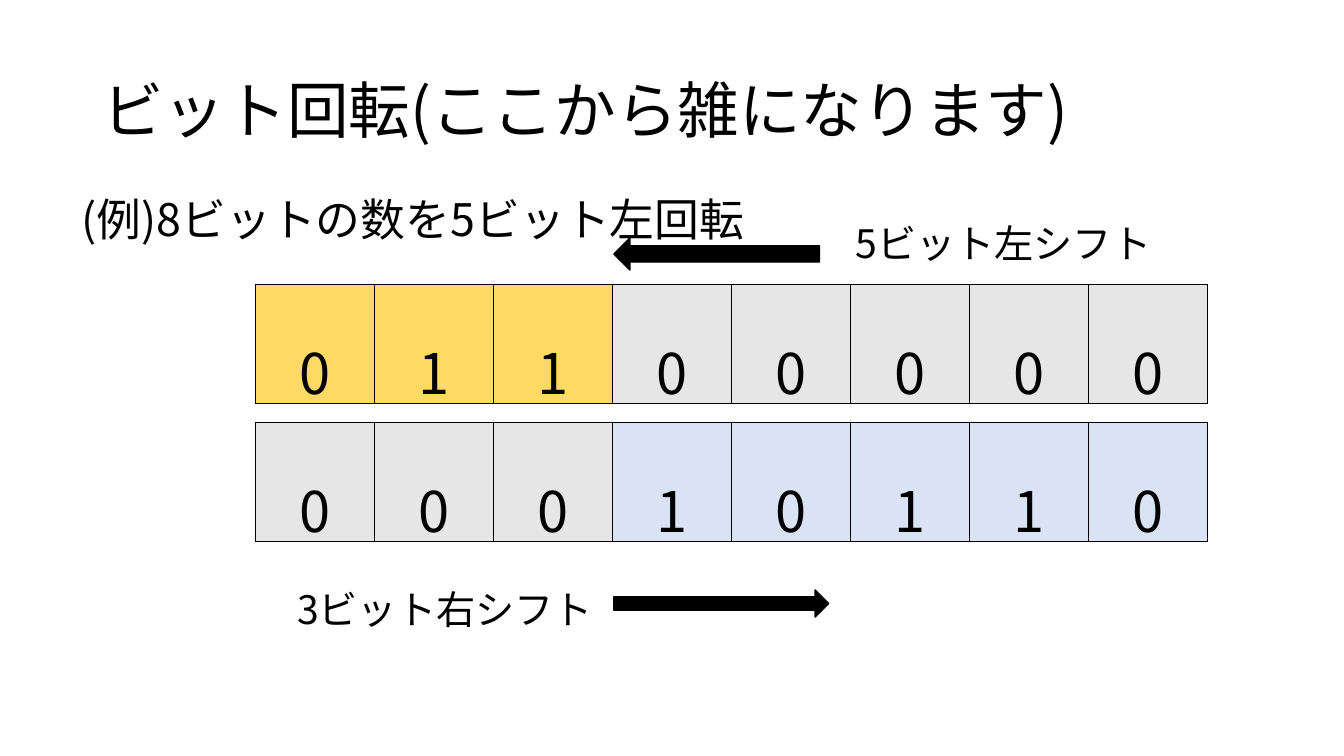
from lxml.etree import SubElement
from pptx import Presentation
from pptx.dml.color import RGBColor
from pptx.enum.shapes import MSO_SHAPE as Shape
from pptx.enum.text import MSO_ANCHOR as Anchor, PP_ALIGN as Align
from pptx.oxml.ns import qn
from pptx.util import Pt

FONT = "Noto Sans CJK JP"
BLACK, GRAY, YELLOW, BLUE = "000000", "E7E6E6", "FFD966", "DAE3F3"
TABLE_LEFT, CELL = 182.3, 85.05


def paint(fill, color):
    fill.solid()
    fill.fore_color.rgb = RGBColor.from_string(color)


def write(frame, text, size):
    frame.text = text
    para = frame.paragraphs[0]
    span = para.runs[0]
    span.font.size = Pt(size)
    span.font.name = FONT
    paint(span.font.fill, BLACK)
    SubElement(span.font._element, qn("a:ea"), typeface=FONT)
    return para


deck = Presentation()
deck.slide_width, deck.slide_height = Pt(960), Pt(540)
page = deck.slides.add_slide(deck.slide_layouts[6])

# Title, example and shift labels
labels = [
    ("ビット回転(ここから雑になります)", 44, 66, 28.75, 828, 104.4),
    ("(例)8ビットの数を5ビット左回転", 32, 51.1, 133.2, 660, 46),
    ("5ビット左シフト", 28, 604.1, 153.4, 233.3, 41.2),
    ("3ビット右シフト", 28, 205.2, 414.7, 233.3, 41.2),
]
for text, size, left, top, width, height in labels:
    box = page.shapes.add_textbox(Pt(left), Pt(top), Pt(width), Pt(height))
    box.text_frame.word_wrap = True
    para = write(box.text_frame, text, size)
    if size == 44:
        box.text_frame.vertical_anchor = Anchor.MIDDLE
        para.line_spacing = 0.9

# Bit rows: the first three bits and the last five differ in colour
bit_rows = [
    ("01100000", 203, YELLOW, GRAY),
    ("00010110", 301.7, GRAY, BLUE),
]
for bits, top, head_color, tail_color in bit_rows:
    frame = page.shapes.add_table(1, len(bits), Pt(TABLE_LEFT), Pt(top),
                                  Pt(CELL * len(bits)), Pt(CELL))
    table = frame.table
    table.first_row = table.horz_banding = False
    for index, bit in enumerate(bits):
        table.columns[index].width = Pt(CELL)
        cell = table.cell(0, index)
        para = write(cell.text_frame, bit, 40)
        para.alignment = Align.CENTER
        para.line_spacing = 1.5
        borders = cell._tc.get_or_add_tcPr()
        for side in ("a:lnL", "a:lnR", "a:lnT", "a:lnB"):
            line = SubElement(borders, qn(side), w=str(Pt(1)))
            solid = SubElement(line, qn("a:solidFill"))
            SubElement(solid, qn("a:srgbClr"), val=BLACK)
        paint(cell.fill, head_color if index < 3 else tail_color)

# Shift arrows
arrows = [
    (Shape.RIGHT_ARROW, 421.4, 153.4, 19.4),
    (Shape.LEFT_ARROW, 169.9, 146.9, 23),
]
for kind, top, width, height in arrows:
    arrow = page.shapes.add_shape(kind, Pt(438.5), Pt(top), Pt(width), Pt(height))
    arrow.shadow.inherit = False
    paint(arrow.fill, BLACK)
    paint(arrow.line.fill, BLACK)
    arrow.line.width = Pt(1)

deck.save("out.pptx")
